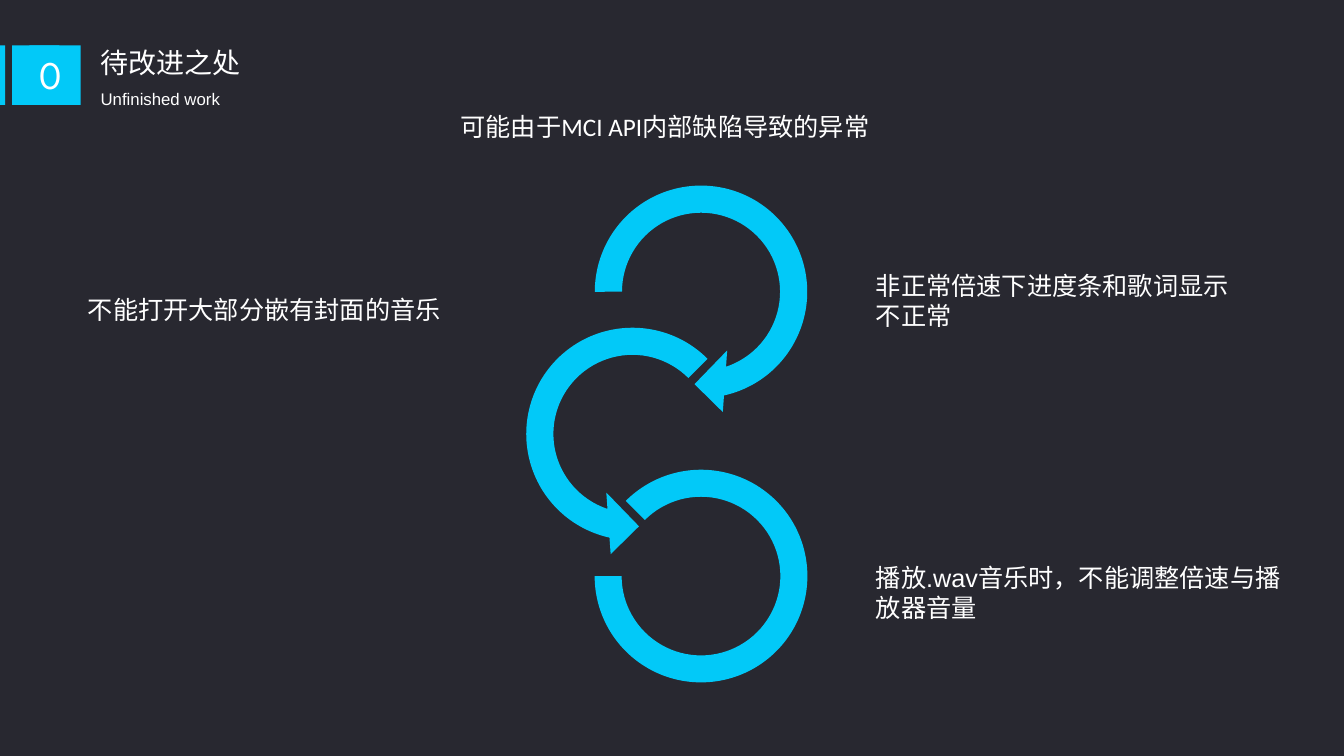
import pptx
import pptx.dml.color
import pptx.enum.shapes
import pptx.enum.text
import pptx.util
from dataclasses import dataclass

RGB = pptx.dml.color.RGBColor.from_string
SHAPE = pptx.enum.shapes.MSO_SHAPE
ALIGN = pptx.enum.text.PP_ALIGN


@dataclass(frozen=True)
class Theme:
    background: str = "282830"
    accent: str = "02C9F8"
    text: str = "FFFFFF"
    font: str = "Arial"
    heading_font: str = "Calibri"
    number_font: str = "League Spartan"
    title_size: int = 20
    subtitle_size: int = 12
    body_size: int = 18
    number_size: int = 28


theme = Theme()
presentation = pptx.Presentation()
presentation.slide_width = pptx.util.Inches(13.33)
presentation.slide_height = pptx.util.Inches(7.5)
slide = presentation.slides.add_slide(presentation.slide_layouts[5])
slide.background.fill.solid()
slide.background.fill.fore_color.rgb = RGB(theme.background)


def share(left, top, width, height):
    column = presentation.slide_width / 100
    row = presentation.slide_height / 100
    return [round(length) for length in (left * column, top * row, width * column, height * row)]


def write(shape, text, size, font, align=ALIGN.LEFT):
    frame = shape.text_frame
    frame.text = text
    frame.word_wrap = True
    frame.auto_size = pptx.enum.text.MSO_AUTO_SIZE.SHAPE_TO_FIT_TEXT
    frame.vertical_anchor = pptx.enum.text.MSO_ANCHOR.TOP
    paragraph = frame.paragraphs[0]
    paragraph.alignment = align
    run_font = paragraph.runs[0].font
    run_font.size = pptx.util.Pt(size)
    run_font.name = font
    run_font.color.rgb = RGB(theme.text)


title = slide.shapes.title
title.left, title.top, title.width, title.height = share(6.75, 5.33, 29.7, 5.87)
write(title, "待改进之处", theme.title_size, theme.font)

loop_group = slide.shapes.add_group_shape()
loops = [
    (SHAPE.CIRCULAR_ARROW, 52.16, 18.38, 32.67, (0.11, 11.423, 45, 108, 0.125)),
    (SHAPE.LEFT_CIRCULAR_ARROW, 47.06, 18.38, 32.67, (0.11, 11.423, 63, 189, 0.125)),
    (SHAPE.BLOCK_ARC, 52.16, 15.83, 28.13, (135, 108, 0.127)),
]
first_center, center_step = 38.6, 18.8
accents = []
for index, (kind, center, width, height, adjustments) in enumerate(loops):
    top = first_center + index * center_step - height / 2
    loop = loop_group.shapes.add_shape(kind, *share(center - width / 2, top, width, height))
    for position, value in enumerate(adjustments):
        loop.adjustments[position] = value
    accents.append(loop)

bar_top, bar_height = 6, 7.87
for left, width in [(0, 0.38), (0.9, 5.1), (2.18, 2.25)]:
    bar = slide.shapes.add_shape(SHAPE.RECTANGLE, *share(left, bar_top, width, bar_height))
    accents.append(bar)
write(bar, "0", theme.number_size, theme.number_font, ALIGN.CENTER)

for shape in accents:
    shape.shadow.inherit = False
    shape.fill.solid()
    shape.fill.fore_color.rgb = RGB(theme.accent)
    shape.line.fill.background()

right_column = 64.43
labels = [
    ("非正常倍速下进度条和歌词显示不正常", (right_column, 35.07, 29.25, 9.47),
     theme.body_size, theme.font, ALIGN.LEFT),
    ("不能打开大部分嵌有封面的音乐", (4.28, 38.27, 29.25, 5.33),
     theme.body_size, theme.font, ALIGN.RIGHT),
    ("播放.wav音乐时，不能调整倍速与播放器音量", (right_column, 73.73, 31.65, 9.47),
     theme.body_size, theme.font, ALIGN.LEFT),
    ("Unfinished work", (6.75, 11.07, 12.3, 4),
     theme.subtitle_size, theme.font, ALIGN.LEFT),
    ("可能由于MCI API内部缺陷导致的异常", (33.53, 14.13, 33.75, 5.33),
     theme.body_size, theme.heading_font, ALIGN.LEFT),
]
for text, area, size, font, align in labels:
    write(slide.shapes.add_textbox(*share(*area)), text, size, font, align)

presentation.save("out.pptx")
